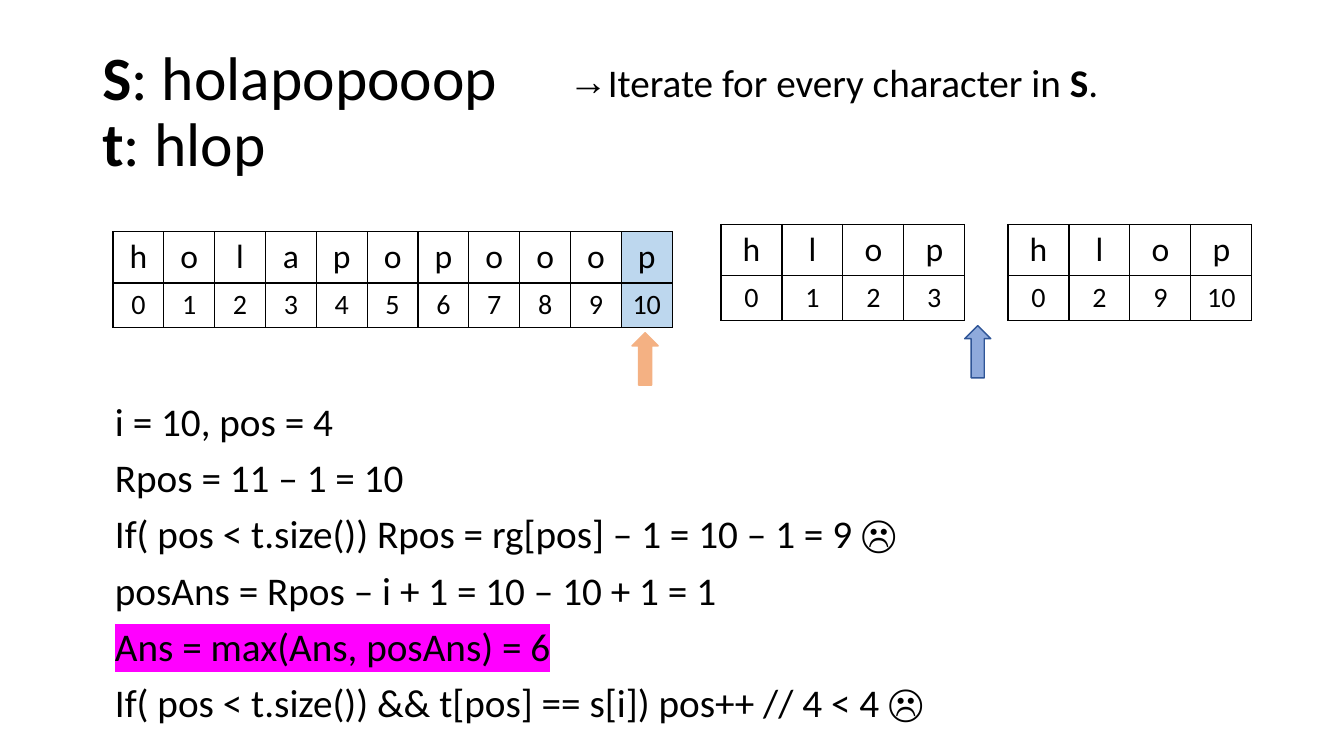
"""Build the subsequence walk-through slide for step i = 10."""
from lxml import etree
from pptx import Presentation
from pptx.dml.color import RGBColor
from pptx.enum.shapes import MSO_SHAPE
from pptx.enum.text import MSO_ANCHOR, MSO_AUTO_SIZE, PP_ALIGN
from pptx.oxml.ns import qn
from pptx.util import Pt

ARROW = MSO_SHAPE.RIGHT_ARROW
TOP, MIDDLE = MSO_ANCHOR.TOP, MSO_ANCHOR.MIDDLE
LEFT, CENTER = PP_ALIGN.LEFT, PP_ALIGN.CENTER
FIXED = MSO_AUTO_SIZE.NONE

FONT = "Calibri"
COLORS = {
    "ink": "000000", "mark": "FF00FF", "cell": "BDD7EE",
    "peach": "F4B183", "blue": "8FAADC", "navy": "2F5597",
}
WORDS = [("S", ": holapopooop"), ("t", ": hlop")]
HINT = [("Iterate for every character in ", False), ("S", True), (".", False)]
STEPS = [
    "i = 10, pos = 4",
    "Rpos = 11 – 1 = 10",
    "If( pos < t.size()) Rpos = rg[pos] – 1 = 10 – 1 = 9 ☹",
    "posAns = Rpos – i + 1 = 10 – 10 + 1 = 1",
    "Ans = max(Ans, posAns) = 6",
    "If( pos < t.size()) && t[pos] == s[i]) pos++ // 4 < 4 ☹",
]
MARKED = 4
TABLES = [
    {"word": "holapopooop", "nums": range(11), "at": (80.7, 165.6), "col": 36.33, "hot": 10},
    {"word": "hlop", "nums": range(4), "at": (515, 160.4), "col": 43.56, "hot": None},
    {"word": "hlop", "nums": (0, 2, 9, 10), "at": (720, 160.4), "col": 43.56, "hot": None},
]
ROWS = [(36.5, 24), (32, 20)]
POINTERS = [(442.1, 247, "peach", "peach"), (679.7, 241.9, "blue", "navy")]
SIZE = (37.4, 18.7)


def color(name):
    return RGBColor.from_string(COLORS[name])


def style(run, size, bold=False):
    font = run.font
    font.name, font.size, font.bold = FONT, Pt(size), bold
    font.color.rgb = color("ink")


def write(para, text, size, bold=False):
    run = para.add_run()
    run.text = text
    style(run, size, bold)


def place(holder, left, top, width, height, anchor):
    holder.left, holder.top = Pt(left), Pt(top)
    holder.width, holder.height = Pt(width), Pt(height)
    frame = holder.text_frame
    frame.word_wrap, frame.auto_size = True, FIXED
    frame.vertical_anchor = anchor
    return frame


def space(para, bullet=None):
    para.alignment, para.line_spacing, para.space_before = LEFT, 0.9, Pt(10)
    props = para._p.get_or_add_pPr()
    indent = Pt(18) if bullet else 0
    props.set("marL", str(indent))
    props.set("indent", str(-indent))
    if bullet:
        etree.SubElement(props, qn("a:buChar")).set("char", bullet)
    else:
        etree.SubElement(props, qn("a:buNone"))


def mark(run):
    fill = run._r.rPr.find(qn("a:solidFill"))
    light = etree.Element(qn("a:highlight"))
    etree.SubElement(light, qn("a:srgbClr")).set("val", COLORS["mark"])
    fill.addnext(light)


def border(cell):
    props = cell._tc.get_or_add_tcPr()
    for side in ("lnL", "lnR", "lnT", "lnB"):
        line = etree.SubElement(props, qn("a:" + side))
        line.set("w", str(Pt(1)))
        fill = etree.SubElement(line, qn("a:solidFill"))
        etree.SubElement(fill, qn("a:srgbClr")).set("val", COLORS["ink"])


def grid(slide, word, nums, at, col, hot):
    tall = sum(height for height, size in ROWS)
    frame = slide.shapes.add_table(
        len(ROWS), len(word), Pt(at[0]), Pt(at[1]), Pt(col * len(word)), Pt(tall))
    table = frame.table
    table.first_row = table.horz_banding = False
    for column in table.columns:
        column.width = Pt(col)
    for r, (items, (height, size)) in enumerate(zip((word, nums), ROWS)):
        table.rows[r].height = Pt(height)
        for c, item in enumerate(items):
            cell = table.cell(r, c)
            cell.vertical_anchor = MIDDLE
            border(cell)
            if c == hot:
                cell.fill.solid()
                cell.fill.fore_color.rgb = color("cell")
            else:
                cell.fill.background()
            para = cell.text_frame.paragraphs[0]
            para.alignment = CENTER
            write(para, str(item), size)


def pointer(slide, left, top, fill, line):
    shape = slide.shapes.add_shape(ARROW, Pt(left), Pt(top), Pt(SIZE[0]), Pt(SIZE[1]))
    shape.rotation = 270
    shape.shadow.inherit = False
    shape.fill.solid()
    shape.fill.fore_color.rgb = color(fill)
    shape.line.color.rgb = color(line)
    shape.line.width = Pt(1)


def main():
    deck = Presentation()
    deck.slide_width, deck.slide_height = Pt(960), Pt(540)
    slide = deck.slides.add_slide(deck.slide_layouts[3])
    title, hint, steps = slide.placeholders

    para = place(title, 66, 28.8, 828, 104.4, MIDDLE).paragraphs[0]
    para.alignment, para.line_spacing = LEFT, 0.9
    for n, (name, value) in enumerate(WORDS):
        if n:
            para.add_line_break()
        write(para, name, 44, True)
        write(para, value, 44)

    para = place(hint, 399, 41.8, 398, 42.5, TOP).paragraphs[0]
    space(para, "→")
    for text, bold in HINT:
        write(para, text, 28, bold)

    for table in TABLES:
        grid(slide, **table)
    for spot in POINTERS:
        pointer(slide, *spot)

    frame = place(steps, 74.9, 283.7, 723, 241.2, TOP)
    frame.text = "\n".join(STEPS)
    for para in frame.paragraphs:
        space(para)
        style(para.runs[0], 28)
    mark(frame.paragraphs[MARKED].runs[0])

    deck.save("out.pptx")


if __name__ == "__main__":
    main()
